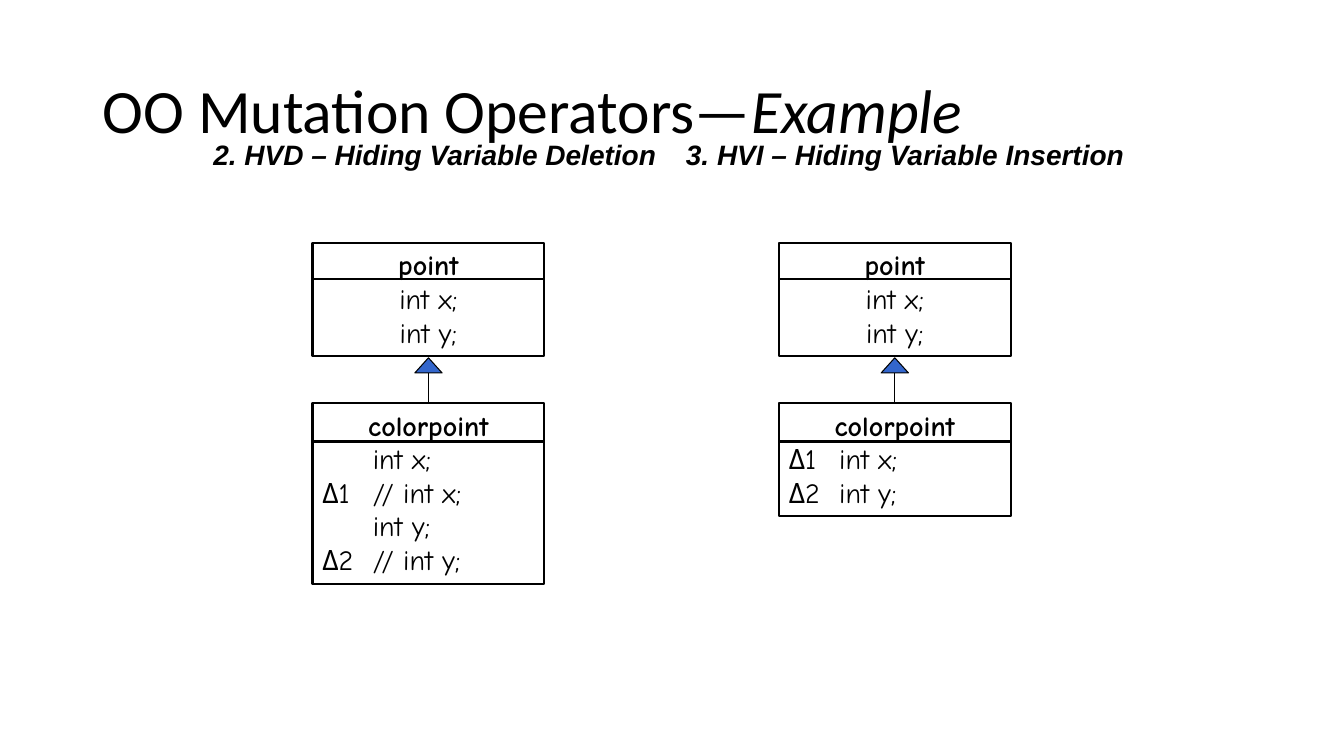
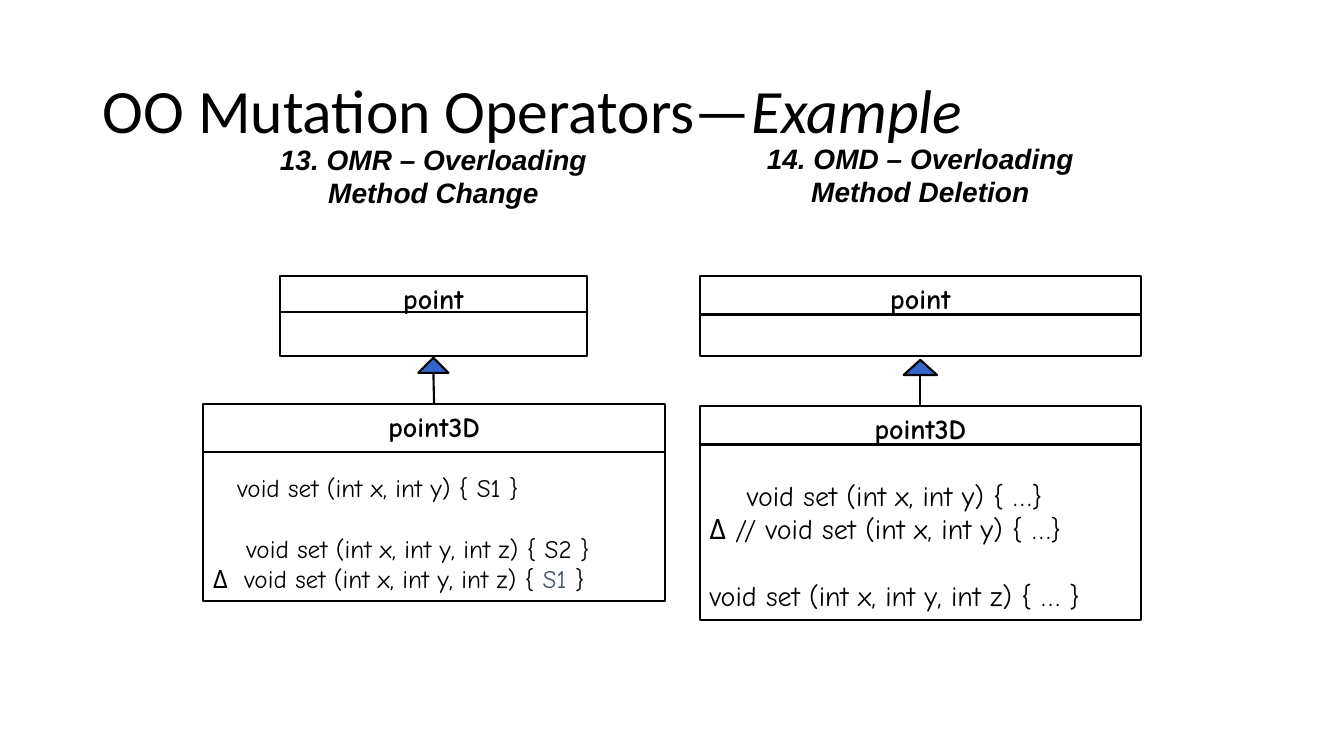
from dataclasses import dataclass

from lxml.etree import SubElement
from pptx import Presentation
from pptx.dml.color import RGBColor
from pptx.enum.shapes import MSO_CONNECTOR, MSO_SHAPE
from pptx.enum.text import MSO_ANCHOR, PP_ALIGN
from pptx.oxml.ns import qn
from pptx.shapes.autoshape import Shape
from pptx.shapes.connector import Connector
from pptx.slide import Slide
from pptx.text.text import TextFrame
from pptx.util import Emu, Inches, Pt

WIDE, HIGH = Inches(13.333), Inches(7.5)


@dataclass(frozen=True)
class Theme:
    ink: RGBColor = RGBColor(0x00, 0x00, 0x00)
    blue: RGBColor = RGBColor(0x33, 0x66, 0xCC)
    slate: RGBColor = RGBColor(0x44, 0x54, 0x6A)
    title_font: str = "Calibri"
    head_font: str = "Arial"
    code_font: str = "Comic Neue"
    title: float = 44
    head: float = 20
    code: float = 20
    small: float = 18
    line: float = 1.5
    thin: float = 0.75
    pitch: float = 1.19  # line height of the code font, per point of size


THEME = Theme()


@dataclass(frozen=True)
class Bit:
    """One run of text."""
    text: str
    font: str = THEME.code_font
    size: float = THEME.code
    bold: bool = False
    slant: bool = False
    tint: RGBColor = THEME.ink


@dataclass(frozen=True)
class Row:
    """One paragraph: indent and tab in inches, gap before it in points."""
    bits: tuple[Bit, ...]
    align: PP_ALIGN = PP_ALIGN.LEFT
    indent: float = 0
    tab: float = 0
    gap: float = 0


@dataclass(frozen=True)
class Area:
    """Middle, top, width and height as percentages of the slide."""
    mid: float
    top: float
    width: float
    height: float

    @property
    def left(self) -> float:
        return self.mid - self.width / 2


@dataclass(frozen=True)
class Card:
    """A class box, with a rule at a given depth below its top."""
    area: Area
    rule: float
    name: str
    rows: tuple[Row, ...] = ()


@dataclass(frozen=True)
class Panel:
    """A heading above a parent class and the child that extends it."""
    head: str
    spot: Area
    wrap: bool
    base: Card
    child: Card
    tip: Area
    line: float


def across(share: float) -> Emu:
    return Emu(round(WIDE * share / 100))


def down(share: float) -> Emu:
    return Emu(round(HIGH * share / 100))


def place(area: Area) -> tuple[Emu, Emu, Emu, Emu]:
    return across(area.left), down(area.top), across(area.width), down(area.height)


def code(text: str, size: float = THEME.code, **style) -> Row:
    return Row((Bit(text, size=size),), **style)


def field(text: str) -> Row:
    return code(text, align=PP_ALIGN.CENTER)


def skip(size: float) -> float:
    """Height of one line of code, in points."""
    return round(size * THEME.pitch, 1)


def write(frame: TextFrame, rows: tuple[Row, ...]) -> None:
    for i, row in enumerate(rows):
        para = frame.add_paragraph() if i else frame.paragraphs[0]
        para.alignment = row.align
        if row.gap:
            para.space_before = Pt(row.gap)
        props = para._p.get_or_add_pPr()
        if row.indent:
            props.set("marL", str(Inches(row.indent)))
        if row.tab:
            stops = SubElement(props, qn("a:tabLst"))
            SubElement(stops, qn("a:tab"), pos=str(Inches(row.tab)), algn="l")
        for bit in row.bits:
            run = para.add_run()
            run.text = bit.text
            font = run.font
            font.name, font.size = bit.font, Pt(bit.size)
            font.bold, font.italic = bit.bold, bit.slant
            font.color.rgb = bit.tint


def label(slide: Slide, area: Area, row: Row, wrap: bool = True) -> TextFrame:
    frame = slide.shapes.add_textbox(*place(area)).text_frame
    frame.word_wrap = wrap
    write(frame, (row,))
    return frame


def shape(slide: Slide, kind: MSO_SHAPE, area: Area, line: float) -> Shape:
    item = slide.shapes.add_shape(kind, *place(area))
    item.shadow.inherit = False
    item.fill.background()
    item.line.color.rgb = THEME.ink
    item.line.width = Pt(line)
    return item


def stroke(slide: Slide, start: tuple[float, float], end: tuple[float, float],
           line: float) -> Connector:
    item = slide.shapes.add_connector(
        MSO_CONNECTOR.STRAIGHT, across(start[0]), down(start[1]),
        across(end[0]), down(end[1]))
    item.line.color.rgb = THEME.ink
    item.line.width = Pt(line)
    SubElement(item._element.spPr, qn("a:effectLst"))
    return item


def draw_card(slide: Slide, card: Card) -> Shape:
    area = card.area
    box = shape(slide, MSO_SHAPE.RECTANGLE, area, THEME.line)
    frame = box.text_frame
    frame.word_wrap = True
    frame.vertical_anchor = MSO_ANCHOR.TOP
    name = Row((Bit(card.name, bold=True),), PP_ALIGN.CENTER)
    write(frame, (name, *card.rows))
    level = area.top + card.rule
    stroke(slide, (area.left, level), (area.left + area.width, level), THEME.line)
    return box


def draw_panel(slide: Slide, panel: Panel) -> None:
    head = Bit(panel.head, THEME.head_font, THEME.head, bold=True, slant=True)
    label(slide, panel.spot, Row((head,), PP_ALIGN.CENTER), panel.wrap)
    draw_card(slide, panel.base)
    child = draw_card(slide, panel.child)
    tip = panel.tip
    arrow = shape(slide, MSO_SHAPE.ISOSCELES_TRIANGLE, tip, panel.line)
    arrow.fill.solid()
    arrow.fill.fore_color.rgb = THEME.blue
    stem = stroke(slide, (tip.mid, tip.top + tip.height),
                  (tip.mid, panel.child.area.top), panel.line)
    stem.end_connect(child, 0)


def draw_title(slide: Slide) -> None:
    font, size = THEME.title_font, THEME.title
    bits = (Bit("OO Mutation Operators—", font, size),
            Bit("Example", font, size, slant=True))
    frame = label(slide, Area(50.03, 5.33, 86.27, 19.33), Row(bits))
    frame.vertical_anchor = MSO_ANCHOR.MIDDLE
    frame.paragraphs[0].line_spacing = 0.9


def hiding(head: str, mid: float, spot: float, height: float,
           rows: tuple[Row, ...]) -> Panel:
    """Panel on a hidden variable; its cards share one width."""
    return Panel(
        head, Area(spot, 17.47, 34.8, 5.87), False,
        Card(Area(mid, 32.13, 17.25, 14.93), 4.8, "point",
             (field("int x;"), field("int y;"))),
        Card(Area(mid, 53.33, 17.25, height), 5.07, "colorpoint", rows),
        Area(mid, 47.33, 2.03, 2), THEME.thin)


def method(head: str, spot: Area, width: float, rule: float, child: Card,
           tip: Area) -> Panel:
    """Panel on an overloaded method; its parent card is empty."""
    base = Card(Area(spot.mid, 36.53, width, 10.53), rule, "point")
    return Panel(head, spot, True, base, child, tip, THEME.line)


TAB = 0.5
SMALL = THEME.small

DECKS = (
    (
        hiding("2. HVD – Hiding Variable Deletion", 31.88, 32.36, 23.87, (
            code("int x;", indent=TAB),
            code("Δ1\t// int x;", tab=TAB),
            code("int y;", indent=TAB),
            code("Δ2\t// int y;", tab=TAB))),
        hiding("3. HVI – Hiding Variable Insertion", 66.58, 67.35, 14.93, (
            code("Δ1\tint x;", tab=TAB),
            code("Δ2\tint y;", tab=TAB))),
    ),
    (
        method(
            "13. OMR – Overloading Method Change",
            Area(32.25, 18.13, 27.75, 10.27), 22.8, 4.8,
            Card(Area(32.3, 53.47, 34.35, 26), 6.27, "point3D", (
                code("void set (int x, int y) { S1 }", SMALL,
                     indent=0.24, gap=skip(SMALL)),
                code("void set (int x, int y, int z) { S2 }", SMALL,
                     indent=0.33, gap=skip(SMALL)),
                Row((Bit("Δ\tvoid set (int x, int y, int z) { ", size=SMALL),
                     Bit("S1", size=SMALL, tint=THEME.slate),
                     Bit(" }", size=SMALL)), tab=0.31))),
            Area(32.25, 47.33, 2.25, 2)),
        method(
            "14. OMD – Overloading Method Deletion",
            Area(68.48, 18, 24.68, 10.27), 32.85, 5.07,
            Card(Area(68.48, 53.73, 32.85, 28.27), 5.07, "point3D", (
                code("void set (int x, int y) { …}",
                     indent=0.37, gap=skip(THEME.code)),
                code("Δ // void set (int x, int y) { …}"),
                code("void set (int x, int y, int z) { … }",
                     gap=skip(THEME.code)))),
            Area(68.48, 47.6, 2.48, 2)),
    ),
)


def main() -> None:
    deck = Presentation()
    deck.slide_width, deck.slide_height = WIDE, HIGH
    for panels in DECKS:
        slide = deck.slides.add_slide(deck.slide_layouts[6])
        draw_title(slide)
        for panel in panels:
            draw_panel(slide, panel)
    deck.save("out.pptx")


if __name__ == "__main__":
    main()
